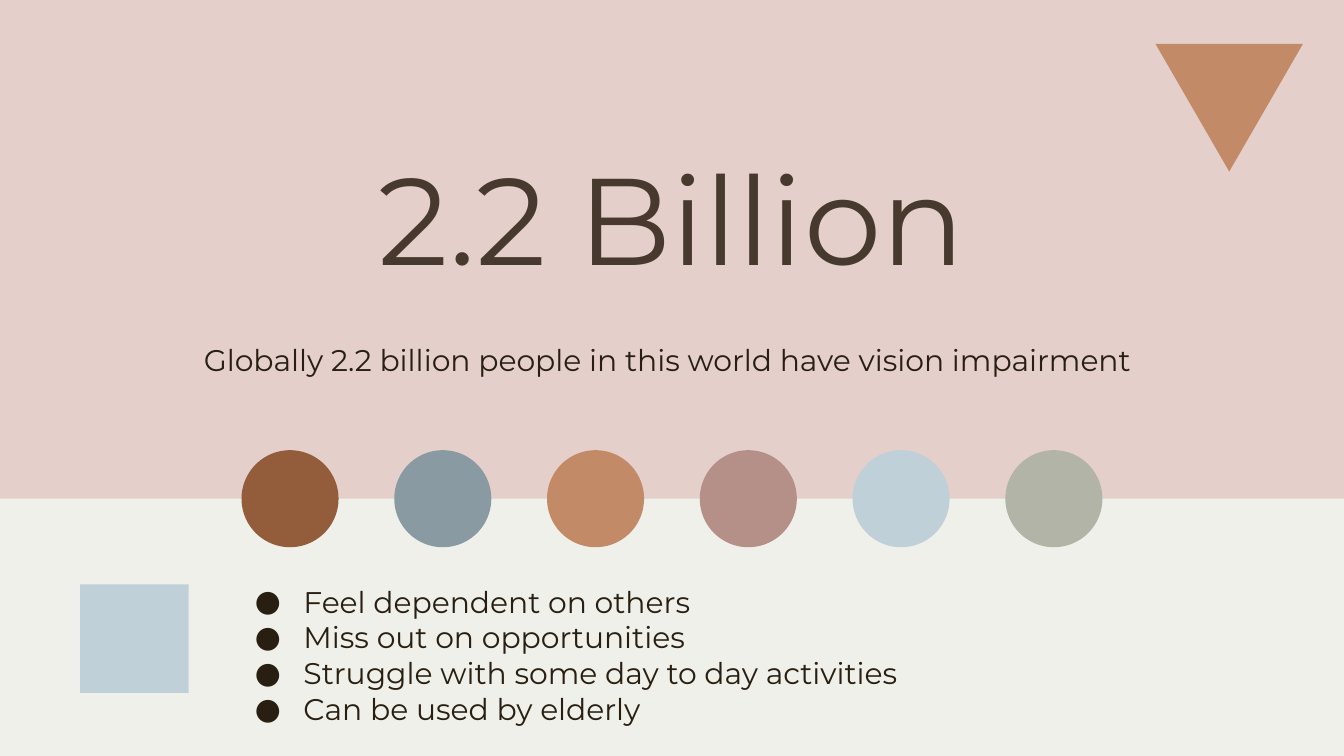
"""Build a slide on how many people live with vision impairment."""
from lxml import etree
from pptx import Presentation
from pptx.dml.color import RGBColor
from pptx.enum.shapes import MSO_SHAPE
from pptx.enum.text import MSO_ANCHOR, PP_ALIGN
from pptx.oxml.ns import qn
from pptx.util import Pt

RECT, OVAL, TRI = MSO_SHAPE.RECTANGLE, MSO_SHAPE.OVAL, MSO_SHAPE.ISOSCELES_TRIANGLE
TOP, BOTTOM = MSO_ANCHOR.TOP, MSO_ANCHOR.BOTTOM
LEFT, CENTER = PP_ALIGN.LEFT, PP_ALIGN.CENTER

TITLE = "2.2 Billion"
CLAIM = "Globally 2.2 billion people in this world have vision impairment "
POINTS = [
    "Feel dependent on others",
    "Miss out on opportunities",
    "Struggle with some day to day activities",
    "Can be used by elderly",
]
DOTS = ["brown", "slate", "clay", "mauve", "sky", "sage"]
THEME = {
    "font": "Montserrat",
    "size": {"title": 66, "body": 16},
    "color": {
        "blush": "E4CFCB", "cream": "EEF0E9", "title": "48392E",
        "body": "281F12", "brown": "935C3B", "slate": "899AA3",
        "clay": "C38A67", "mauve": "B59089", "sky": "C0D0D8",
        "sage": "B1B4A6",
    },
}
DOT = {"left": 129.4, "top": 241.2, "size": 52, "pitch": 81.84}
INDENT = {"marL": Pt(36), "indent": Pt(-26)}


def color(name):
    return RGBColor.from_string(THEME["color"][name])


def add_shape(slide, kind, box, fill, turn=0):
    shape = slide.shapes.add_shape(kind, *map(Pt, box))
    shape.shadow.inherit = False
    shape.fill.solid()
    shape.fill.fore_color.rgb = color(fill)
    shape.line.fill.background()
    shape.rotation = turn


def add_bullet(para):
    props = para._p.get_or_add_pPr()
    for key, value in INDENT.items():
        props.set(key, str(value))
    tint = etree.SubElement(props, qn("a:buClr"))
    etree.SubElement(tint, qn("a:srgbClr"), val=THEME["color"]["body"])
    etree.SubElement(props, qn("a:buFont"), typeface=THEME["font"])
    etree.SubElement(props, qn("a:buChar"), char="●")


def add_text(slide, box, lines, role, align=CENTER, anchor=TOP, bullet=False):
    frame = slide.shapes.add_textbox(*map(Pt, box)).text_frame
    form = {"word_wrap": True, "vertical_anchor": anchor}
    form |= {f"margin_{side}": Pt(7.2) for side in ("left", "right", "top", "bottom")}
    for key, value in form.items():
        setattr(frame, key, value)
    frame.text = "\n".join(lines)
    for para in frame.paragraphs:
        para.alignment = align
        font = para.runs[0].font
        font.name = THEME["font"]
        font.size = Pt(THEME["size"][role])
        font.color.rgb = color(role)
        if bullet:
            add_bullet(para)


def main():
    deck = Presentation()
    deck.slide_width, deck.slide_height = Pt(720), Pt(405)
    slide = deck.slides.add_slide(deck.slide_layouts[6])
    ground = slide.background.fill
    ground.solid()
    ground.fore_color.rgb = color("blush")

    add_shape(slide, RECT, (-1.2, 267.2, 722.4, 139.6), "cream")
    add_text(slide, (100.8, 44, 518, 118.8), [TITLE], "title", anchor=BOTTOM)
    add_text(slide, (100.8, 175.7, 518, 27.4), [CLAIM], "body")
    for i, name in enumerate(DOTS):
        left = DOT["left"] + i * DOT["pitch"]
        add_shape(slide, OVAL, (left, DOT["top"], DOT["size"], DOT["size"]), name)
    add_shape(slide, TRI, (619, 23.5, 79, 68.4), "clay", turn=180)
    add_shape(slide, RECT, (42.9, 313, 58.2, 58.2), "sky")
    add_text(slide, (119.5, 305.3, 518, 85), POINTS, "body", align=LEFT, bullet=True)
    deck.save("out.pptx")


if __name__ == "__main__":
    main()
